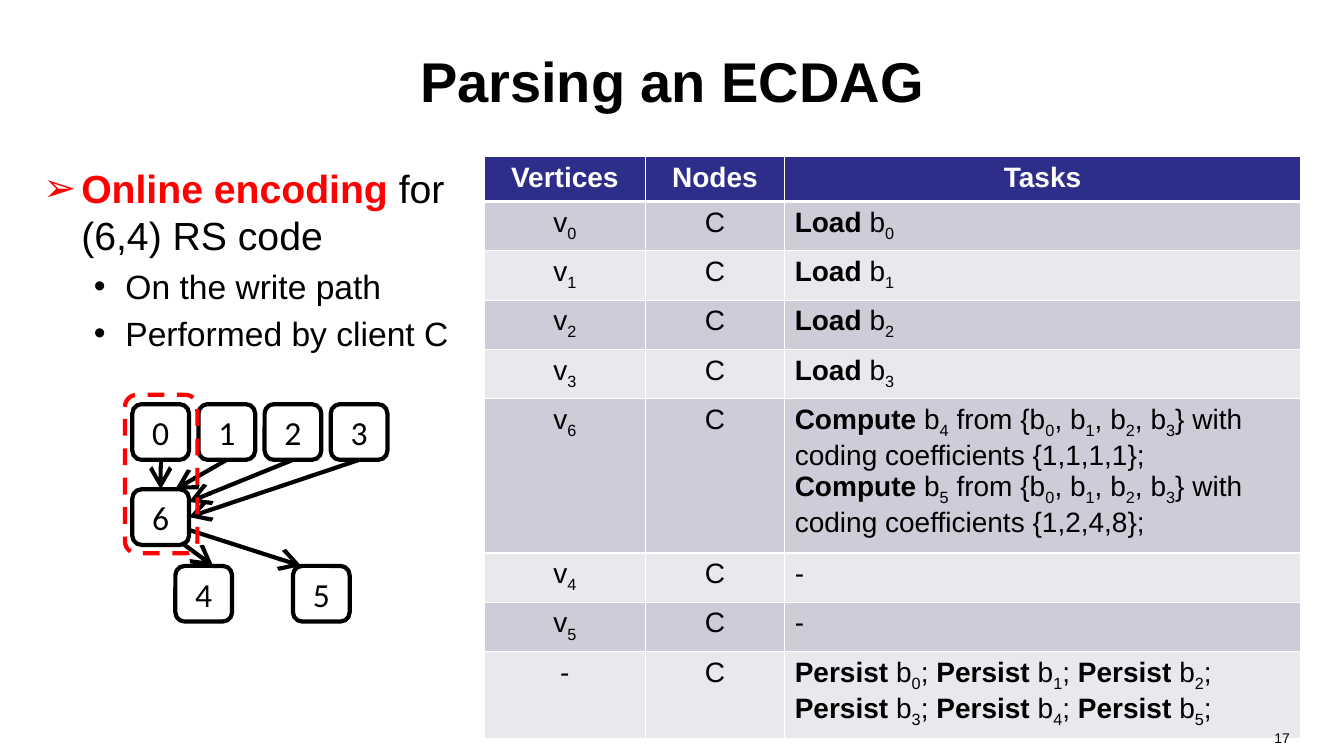
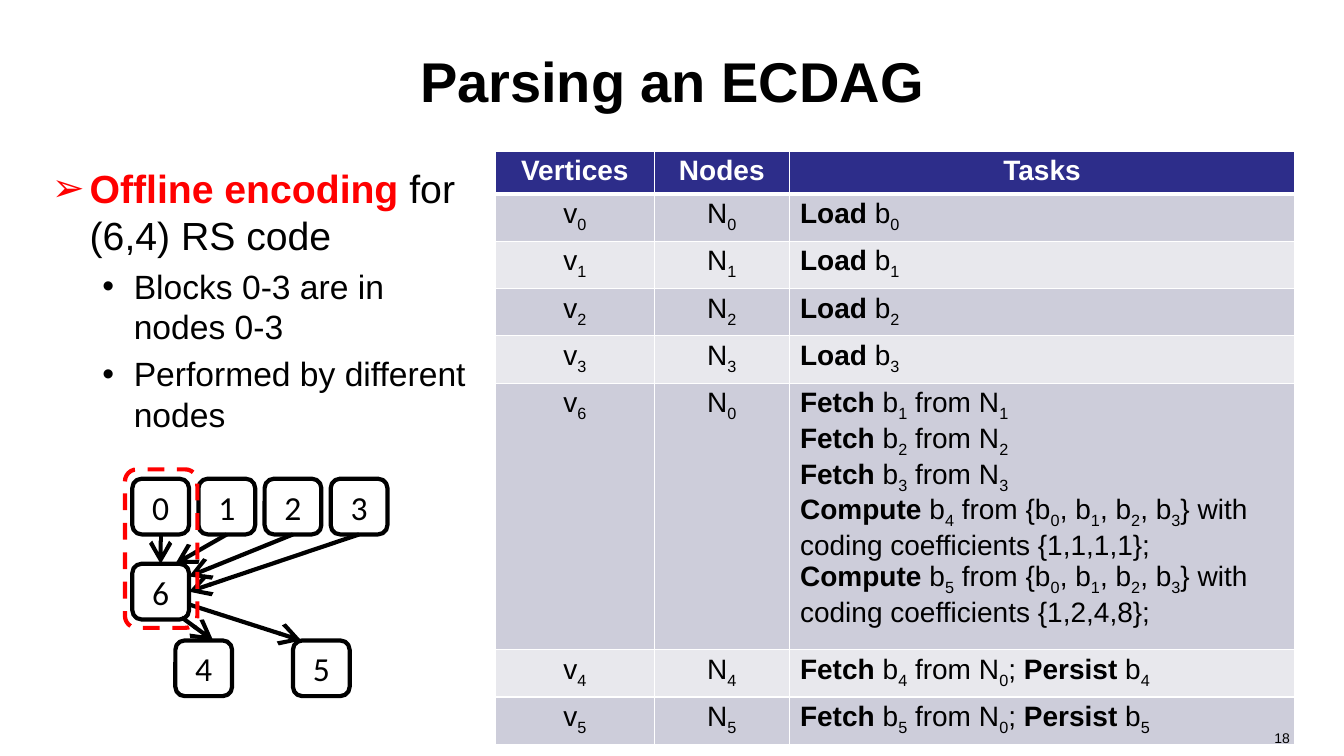
import pptx
import pptx.util
import pptx.dml.color
import pptx.enum.dml
import pptx.enum.shapes
import pptx.enum.text
import pptx.oxml
import pptx.oxml.ns
import lxml.etree

PX = 9525  # EMU in one px, 96 px to the inch
WIDE, HIGH = 1280, 720
FONT, NODE_FONT = "Arial", "Calibri"
BLACK, WHITE, RED = "000000", "FFFFFF", "FF0000"
HEAD, BANDS = "2D2D8A", ("CDCDDA", "E8E8ED")
ALIGN = pptx.enum.text.PP_ALIGN
ANCHOR = pptx.enum.text.MSO_ANCHOR
ROUND = pptx.enum.shapes.MSO_SHAPE.ROUNDED_RECTANGLE


def px(*nums):
    return [pptx.util.Emu(n * PX) for n in nums]


def color(code):
    return pptx.dml.color.RGBColor.from_string(code)


def style(font, size, code=BLACK, bold=False, name=FONT):
    font.name, font.size, font.bold = name, pptx.util.Pt(size), bold
    font.color.rgb = color(code)


def node(parent, tag, **attrs):
    """Add a DrawingML element below parent."""
    kid = lxml.etree.SubElement(parent, pptx.oxml.ns.qn("a:" + tag))
    for key, value in attrs.items():
        kid.set(key, str(value))
    return kid


def write(para, text, size, code=BLACK, strong=BLACK):
    """Write text in which *x* is bold and _x is a subscript."""
    def put(bit, bold, sub=False):
        if bit:
            run = para.add_run()
            run.text = bit
            style(run.font, size, strong if bold else code, bold)
            if sub:
                run.font._element.set("baseline", "-25000")

    for i, part in enumerate(text.split("*")):
        first, *rest = part.split("_")
        put(first, i % 2 == 1)
        for bit in rest:
            put(bit[0], i % 2 == 1, True)
            put(bit[1:], i % 2 == 1)


# Title and page number
def add_title(slide, text):
    title = slide.shapes.title
    title.left, title.top, title.width, title.height = px(64, 16, 1152, 120)
    frame = title.text_frame
    frame.text = text
    frame.vertical_anchor = ANCHOR.MIDDLE
    para = frame.paragraphs[0]
    para.alignment = ALIGN.CENTER
    style(para.runs[0].font, 40, bold=True)


def add_page(slide, num):
    frame = slide.shapes.add_textbox(*px(939, 690, 299, 30)).text_frame
    frame.word_wrap = True
    frame.text = str(num)
    para = frame.paragraphs[0]
    para.alignment = ALIGN.RIGHT
    style(para.runs[0].font, 10)


# Bullet list
def add_list(slide, box, lead, points):
    frame = slide.shapes.add_textbox(*px(*box)).text_frame
    frame.word_wrap = True
    for i, text in enumerate([lead] + points):
        para = frame.add_paragraph() if i else frame.paragraphs[0]
        left, hang, mark, size, code = (
            (78, 30, "•", 24, BLACK) if i else (36, 36, "➢", 28, RED))
        props = para._p.get_or_add_pPr()
        props.set("marL", str(left * PX))
        props.set("indent", str(-hang * PX))
        node(node(props, "buClr"), "srgbClr", val=code)
        node(props, "buFont", typeface=FONT)
        node(props, "buChar", char=mark)
        if i:
            para.level = 1
            para.space_before = pptx.util.Pt(5)
        write(para, text, size, strong=RED)


# Task table
def edge(cell, side, width):
    line = node(cell._tc.get_or_add_tcPr(), "ln" + side, w=int(width * 12700))
    node(node(line, "solidFill"), "srgbClr", val=WHITE)


def add_cell(cell, row, col, text, pad):
    cell.margin_left, cell.margin_right = px(10, 10)
    cell.margin_top, cell.margin_bottom = px(pad, pad)
    cell.vertical_anchor = ANCHOR.TOP
    for side in "LRTB":
        thick = (row, side) in ((0, "B"), (1, "T"))
        edge(cell, side, 3 if thick else 1)
    cell.fill.solid()
    cell.fill.fore_color.rgb = color(BANDS[(row - 1) % 2] if row else HEAD)
    for i, line in enumerate(text.split("\n")):
        frame = cell.text_frame
        para = frame.add_paragraph() if i else frame.paragraphs[0]
        if row == 0 or col < 2:
            para.alignment = ALIGN.CENTER
        if row:
            write(para, line, 20)
        else:
            write(para, f"*{line}*", 20, strong=WHITE)


def add_tasks(slide, spot, cols, highs, pad, rows):
    rows = [("Vertices", "Nodes", "Tasks")] + rows
    frame = slide.shapes.add_table(
        len(rows), len(cols), *px(*spot, sum(cols), sum(highs)))
    table = frame.table
    table.horz_banding = False
    for col, wide in zip(table.columns, px(*cols)):
        col.width = wide
    for row, high in zip(table.rows, px(*highs)):
        row.height = high
    for r, texts in enumerate(rows):
        for c, text in enumerate(texts):
            add_cell(table.cell(r, c), r, c, text, pad)


# Graph of blocks
def add_box(group, x, y, wide, high, code, text=""):
    box = group.shapes.add_shape(ROUND, *px(x, y, wide, high))
    box.shadow.inherit = False
    box.fill.background()
    box.line.color.rgb = color(code)
    box.line.width = pptx.util.Pt(3)
    if text:
        frame = box.text_frame
        frame.margin_left = frame.margin_right = 0
        frame.margin_top = frame.margin_bottom = 0
        frame.vertical_anchor = ANCHOR.MIDDLE
        frame.text = text
        para = frame.paragraphs[0]
        para.alignment = ALIGN.CENTER
        style(para.runs[0].font, 24, name=NODE_FONT)
    return box


def add_arrow(group, start, end):
    kind = pptx.enum.shapes.MSO_CONNECTOR.STRAIGHT
    arrow = group.shapes.add_connector(kind, *px(*start, *end))
    arrow.line.color.rgb = color(BLACK)
    arrow.line.width = pptx.util.Pt(3)
    node(arrow.line._get_or_add_ln(), "tailEnd",
         type="arrow", w="lg", len="lg")
    node(arrow._element.spPr, "effectLst")
    return arrow


def add_graph(slide, left, top):
    group = slide.shapes.add_group_shape()
    wide, high, step = 54, 53, 63
    spots = {i: (7 + i * step, 9) for i in range(4)}
    spots.update({4: (48, 163), 5: (160, 163), 6: (7, 90)})
    boxes = {i: add_box(group, left + x, top + y, wide, high, BLACK, str(i))
             for i, (x, y) in spots.items()}

    # Inputs 0-3 run into 6; two of them meet the middle of a side
    ends = [(34, 90), (48, 90), (61, 102), (61, 116)]
    sides = {0: 0, 3: 3}
    for i, (x, y) in enumerate(ends):
        from_x, from_y = spots[i]
        arrow = add_arrow(group,
                          (left + from_x + wide // 2, top + from_y + high),
                          (left + x, top + y))
        arrow.begin_connect(boxes[i], 2)
        if i in sides:
            arrow.end_connect(boxes[6], sides[i])

    # Outputs 4 and 5
    for x, y, to_x in ((54, 141, 84), (62, 129, 168)):
        add_arrow(group, (left + x, top + y), (left + to_x, top + 163))

    frame = add_box(group, left, top, 69, 151, RED)
    frame.line.dash_style = pptx.enum.dml.MSO_LINE.DASH


def add_slide(deck, num, lead, points, body, table, graph):
    slide = deck.slides.add_slide(deck.slide_layouts[5])
    add_title(slide, "Parsing an ECDAG")
    add_list(slide, body, lead, points)
    add_tasks(slide, *table)
    add_page(slide, num)
    add_graph(slide, *graph)


def main():
    deck = pptx.Presentation()
    deck.slide_width, deck.slide_height = px(WIDE, HIGH)

    code = "\n".join(
        f"*Compute* b_{b} from {{b_0, b_1, b_2, b_3}} with "
        f"coding coefficients {{{nums}}};"
        for b, nums in ((4, "1,1,1,1"), (5, "1,2,4,8")))
    save = "\n".join(
        "; ".join(f"*Persist *b_{b}" for b in trio) + ";"
        for trio in ((0, 1, 2), (3, 4, 5)))
    fetch = "\n".join(f"*Fetch* b_{b} from N_{b}" for b in (1, 2, 3))

    online = [(f"v_{i}", "C", f"*Load* b_{i}") for i in range(4)]
    online += [("v_6", "C", code), ("v_4", "C", "-"), ("v_5", "C", "-"),
               ("-", "C", save)]
    offline = [(f"v_{i}", f"N_{i}", f"*Load* b_{i}") for i in range(4)]
    offline += [("v_6", "N_0", fetch + "\n" + code)]
    offline += [(f"v_{i}", f"N_{i}",
                 f"*Fetch* b_{i} from N_0; *Persist* b_{i}") for i in (4, 5)]

    # Row heights: header, loads, compute row, closing rows
    online_highs = [43] + [47] * 4 + [141] + [47] * 2 + [81]
    offline_highs = [41] + [45] * 4 + [241] + [45] * 2

    add_slide(deck, 17, "*Online encoding *for (6,4) RS code",
              ["On the write path", "Performed by client C"],
              (32, 152, 424, 120),
              ((461, 149), (154, 132, 492), online_highs, 5, online),
              (119, 376))
    add_slide(deck, 18, "*Offline encoding *for (6,4) RS code",
              ["Blocks 0-3 are in nodes 0-3", "Performed by different nodes"],
              (40, 152, 416, 120),
              ((472, 144), (151, 129, 481), offline_highs, 4, offline),
              (119, 447))
    deck.save("out.pptx")


if __name__ == "__main__":
    main()
